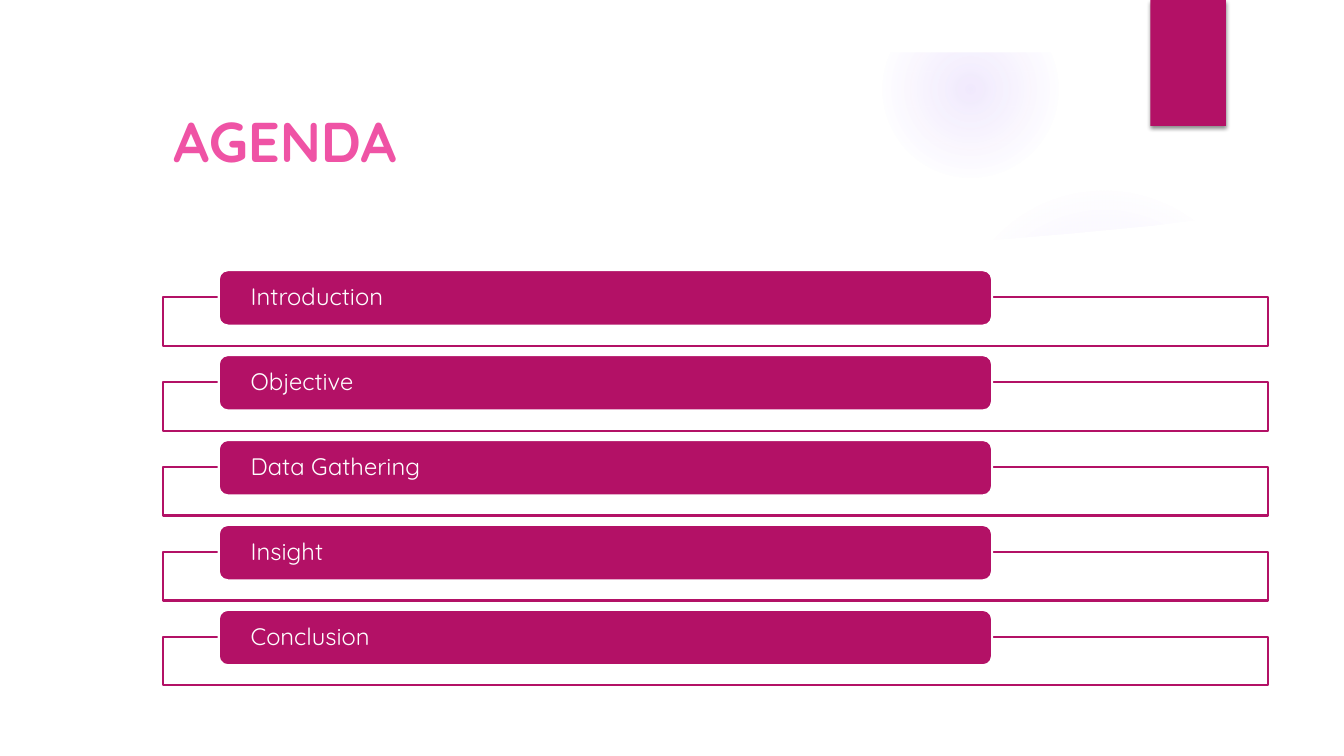
from lxml import etree
from pptx import Presentation
from pptx.dml.color import RGBColor
from pptx.enum.shapes import MSO_SHAPE
from pptx.enum.text import MSO_ANCHOR, PP_ALIGN
from pptx.oxml import parse_xml
from pptx.oxml.ns import nsdecls, qn
from pptx.util import Inches, Pt

OVAL, RECTANGLE, ROUNDED = MSO_SHAPE.OVAL, MSO_SHAPE.RECTANGLE, MSO_SHAPE.ROUNDED_RECTANGLE
MIDDLE, LEFT = MSO_ANCHOR.MIDDLE, PP_ALIGN.LEFT

MAGENTA = RGBColor(0xB3, 0x11, 0x66)
PINK = RGBColor(0xEF, 0x53, 0xA5)
WHITE = RGBColor(0xFF, 0xFF, 0xFF)
VIOLET = RGBColor(0x9B, 0x6B, 0xF2)

AGENDA = ["Introduction", "Objective", "Data Gathering", "Insight", "Conclusion"]
FIRST_TOP, LAST_TOP = 2.68, 6.05
ROW_STEP = (LAST_TOP - FIRST_TOP) / (len(AGENDA) - 1)
WAVE = [(0.5, 2.04), (1.59, 2.18), (2.83, 2.3), (4.01, 2.38), (5.35, 2.45),
        (6.57, 2.48), (7.86, 2.47), (8.94, 2.44), (9.76, 2.39), (10.6, 2.32),
        (11.44, 2.24), (12.28, 2.13), (12.84, 2.04)]


class AgendaPage:
    def __init__(self, deck, font):
        self.page = deck.slides.add_slide(deck.slide_layouts[5])
        self.font = font

    def place(self, box, left, top, width, height):
        for name, value in dict(left=left, top=top, width=width, height=height).items():
            setattr(box, name, Inches(value))

    def label(self, box, text, size, color, bold=False, inset=0.1):
        frame = box.text_frame
        settings = dict(word_wrap=True, vertical_anchor=MIDDLE,
                        margin_left=Inches(inset), margin_right=Inches(inset))
        for name, value in settings.items():
            setattr(frame, name, value)
        para = frame.paragraphs[0]
        para.alignment = LEFT
        para.line_spacing = 0.9
        span = para.add_run()
        span.text = text
        for name, value in dict(name=self.font, size=Pt(size), bold=bold).items():
            setattr(span.font, name, value)
        span.font.color.rgb = color

    def title(self, text, *place):
        box = self.page.shapes.title
        self.place(box, *place)
        self.label(box, text, 40, PINK, bold=True)

    def paint(self, box, fill, line=None):
        box.shadow.inherit = False
        box.fill.solid()
        box.fill.fore_color.rgb = fill
        if line is None:
            box.line.fill.background()
        else:
            box.line.color.rgb = line
            box.line.width = Pt(1.5)

    def shape(self, kind, place, fill, line=None):
        box = self.page.shapes.add_shape(kind, *map(Inches, place))
        self.paint(box, fill, line)
        return box

    def glow(self, left, top, size, stops):
        """Draw a circle that fades outward; stops are (position, opacity) in percent."""
        box = self.shape(OVAL, (left, top, size, size), VIOLET)
        marks = "".join(
            f'<a:gs pos="{position * 1000}"><a:srgbClr val="{VIOLET}">'
            f'<a:alpha val="{opacity * 1000}"/></a:srgbClr></a:gs>'
            for position, opacity in stops)
        gradient = parse_xml(
            f'<a:gradFill {nsdecls("a")}><a:gsLst>{marks}</a:gsLst><a:path path="circle">'
            '<a:fillToRect l="50000" t="50000" r="50000" b="50000"/></a:path></a:gradFill>')
        properties = box._element.spPr
        properties.replace(properties.find(qn("a:solidFill")), gradient)

    def panel(self, top_edge, bottom):
        """Draw the white area below a curved top edge."""
        corners = [(top_edge[-1][0], bottom), (top_edge[0][0], bottom)]
        points = [(Inches(x), Inches(y)) for x, y in top_edge + corners]
        builder = self.page.shapes.build_freeform(*points[0])
        builder.add_line_segments(points[1:], close=True)
        self.paint(builder.convert_to_shape(), WHITE)

    def ribbon(self, *place):
        box = self.shape(RECTANGLE, place, MAGENTA)
        effects = box._element.spPr.find(qn("a:effectLst"))
        shadow = etree.SubElement(effects, qn("a:outerShdw"), blurRad=str(Pt(3)),
                                  dist=str(Pt(2)), dir="5400000", rotWithShape="0")
        color = etree.SubElement(shadow, qn("a:srgbClr"), val="000000")
        etree.SubElement(color, qn("a:alpha"), val="45000")

    def agenda_row(self, top, text):
        self.shape(RECTANGLE, (1.62, top + 0.27, 10.96, 0.48), WHITE, MAGENTA)
        bar = self.shape(ROUNDED, (2.17, top, 7.67, 0.55), MAGENTA, WHITE)
        self.label(bar, text, 17, WHITE, inset=0.29)


def main():
    deck = Presentation()
    deck.slide_width, deck.slide_height = Inches(13.33), Inches(7.5)
    agenda = AgendaPage(deck, "Quicksand")
    agenda.glow(9.41, 1.83, 3.08, [(0, 7), (36, 6), (69, 0), (100, 0)])
    agenda.glow(8.75, 0.01, 1.75, [(0, 14), (36, 7), (73, 0), (100, 0)])
    agenda.panel(WAVE, 7)
    agenda.shape(RECTANGLE, (0, 0, 13.33, 0.52), WHITE)
    agenda.ribbon(11.41, 0, 0.75, 1.25)
    agenda.title("AGENDA", 1.62, 0.61, 10.96, 1.64)
    for index, text in enumerate(AGENDA):
        agenda.agenda_row(FIRST_TOP + index * ROW_STEP, text)
    deck.save("out.pptx")


if __name__ == "__main__":
    main()
